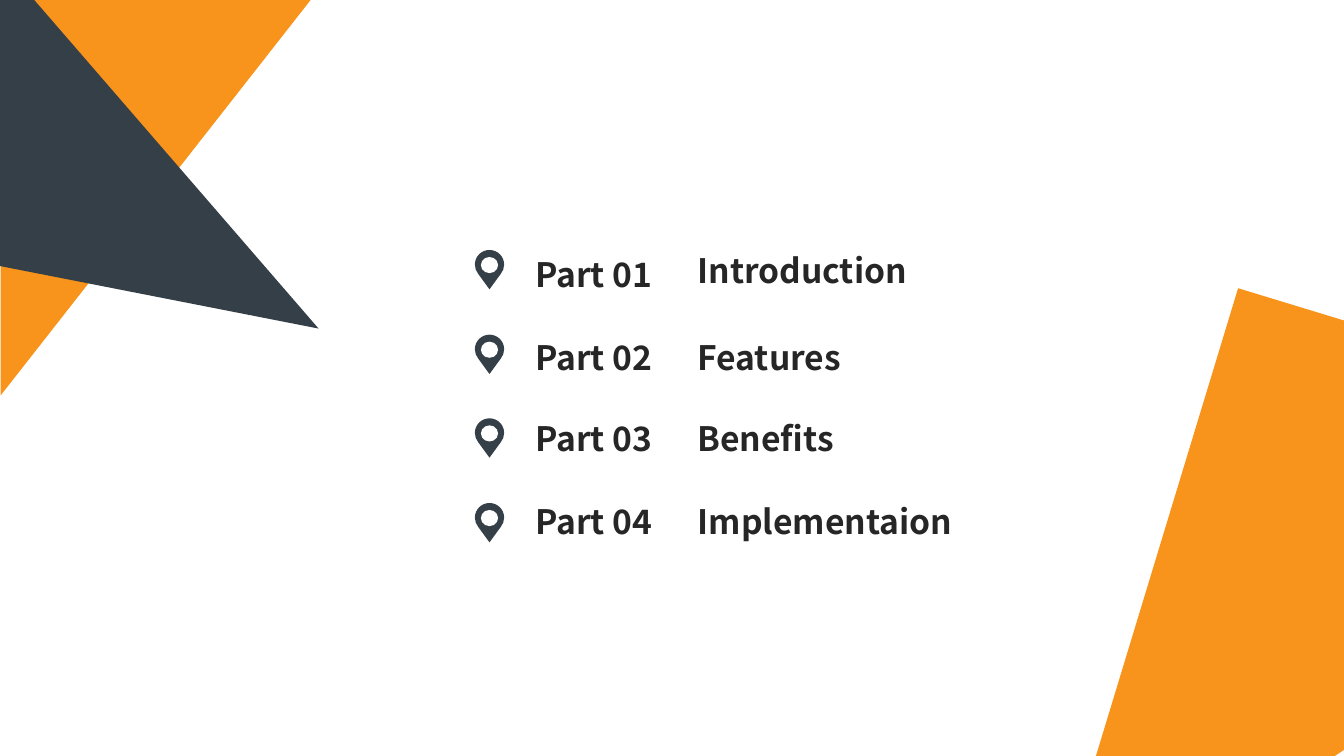
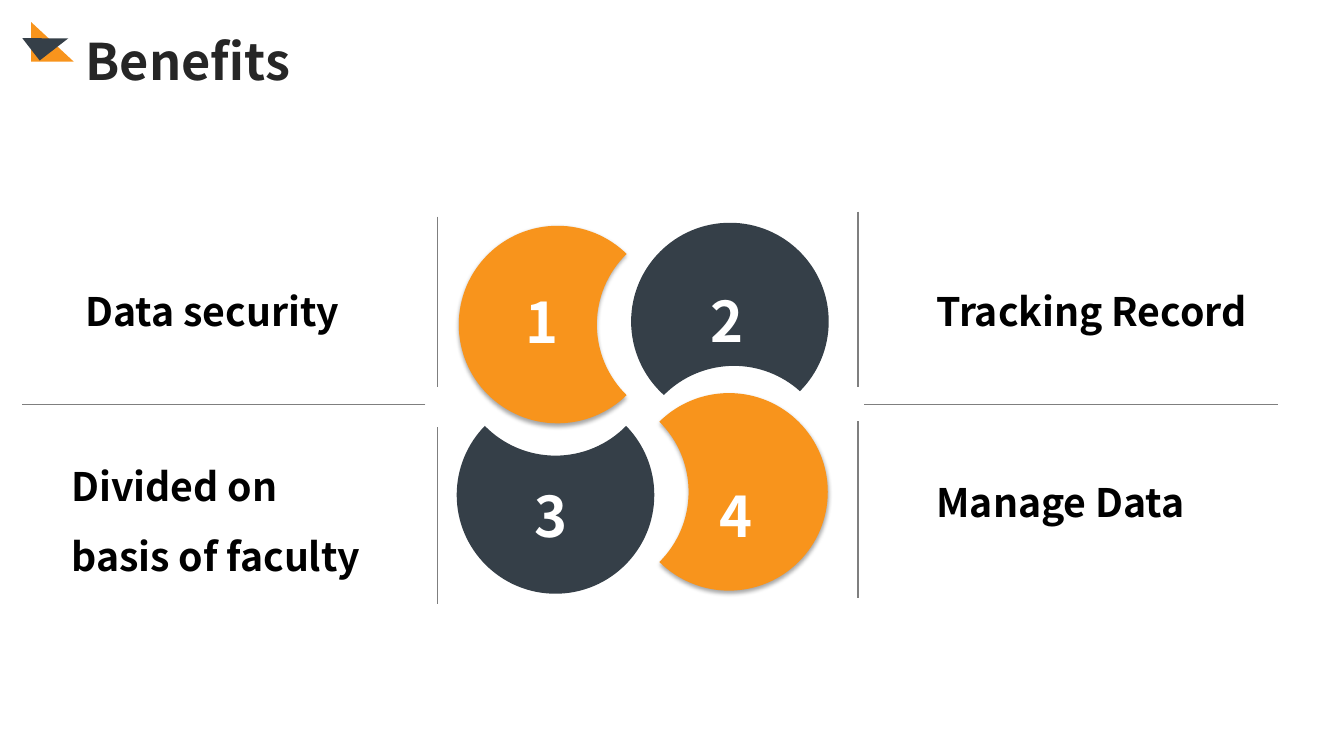
import math

from pptx import Presentation
from pptx import util as u
from pptx.dml.color import RGBColor
from pptx.enum import shapes, text
from pptx.oxml import parse_xml
from pptx.oxml.ns import nsdecls, qn

PX_PER_INCH = 100
WIDTH, HEIGHT = 1333, 750
FONT = "Noto Sans CJK SC"
ORANGE, SLATE, INK, GREY = "F8941C", "353F48", "262626", "7F7F7F"
WHITE, BLACK = "FFFFFF", "000000"


def px(length):
    return u.Emu(round(length * 914400 / PX_PER_INCH))


def color(hex_string):
    return RGBColor.from_string(hex_string)


# Basic parts
def paint(shape, fill):
    shape.shadow.inherit = False
    shape.fill.solid()
    shape.fill.fore_color.rgb = color(fill)
    shape.line.fill.background()
    return shape


def add_preset(slide, kind, left, top, width, height, fill, rotation=0):
    shape = slide.shapes.add_shape(kind, px(left), px(top), px(width), px(height))
    shape.rotation = rotation
    return paint(shape, fill)


def add_outline(slide, start, segments, fill):
    """Closed outline; a segment is (end,) or (control, control, end)."""
    builder = slide.shapes.build_freeform(px(start[0]), px(start[1]), scale=1.0)
    builder.add_line_segments(
        [(px(x), px(y)) for x, y in (segment[-1] for segment in segments)], close=True)
    shape = builder.convert_to_shape()
    lines = list(shape._element.iter(qn("a:lnTo")))
    for line, segment in zip(lines, segments):
        if len(segment) == 3:
            points = "".join(
                f'<a:pt x="{px(x) - shape.left}" y="{px(y) - shape.top}"/>'
                for x, y in segment)
            line.getparent().replace(line, parse_xml(
                f"<a:cubicBezTo {nsdecls('a')}>{points}</a:cubicBezTo>"))
    return paint(shape, fill)


def arc(x, y, radius, start, end):
    """Start point and curves of an arc in degrees, split at quarter turns."""
    low, high = sorted((start, end))
    turns = [turn for turn in range(-720, 721, 90) if low + 0.01 < turn < high - 0.01]
    stops = [start] + sorted(turns, reverse=start > end) + [end]

    def place(degrees, tangent=0.0):
        angle = math.radians(degrees)
        return (x + radius * (math.cos(angle) - tangent * math.sin(angle)),
                y + radius * (math.sin(angle) + tangent * math.cos(angle)))

    curves = []
    for first, last in zip(stops, stops[1:]):
        reach = 4 / 3 * math.tan(math.radians(last - first) / 4)
        curves.append((place(first, reach), place(last, -reach), place(last)))
    return place(start), curves


def add_text(slide, words, left, top, width, height, size, fill=INK,
             spacing=None, wrap=True):
    box = slide.shapes.add_textbox(px(left), px(top), px(width), px(height))
    frame = box.text_frame
    frame.word_wrap = wrap
    frame.auto_size = text.MSO_AUTO_SIZE.SHAPE_TO_FIT_TEXT
    paragraph = frame.paragraphs[0]
    paragraph.line_spacing = spacing
    run = paragraph.add_run()
    run.text = words
    run.font.name = FONT
    run.font.size = u.Pt(size)
    run.font.bold = True
    run.font.color.rgb = color(fill)


def add_rule(slide, x1, y1, x2, y2, stroke=GREY, weight=0.75):
    line = slide.shapes.add_connector(
        shapes.MSO_CONNECTOR.STRAIGHT, px(x1), px(y1), px(x2), px(y2))
    line.line.color.rgb = color(stroke)
    line.line.width = u.Pt(weight)
    line._element.spPr.append(parse_xml(f"<a:effectLst {nsdecls('a')}/>"))


def add_soft_shadow(shape):
    effects = shape._element.spPr.find(qn("a:effectLst"))
    effects.append(parse_xml(
        f'<a:outerShdw {nsdecls("a")} blurRad="{u.Pt(3.1)}" dist="{u.Pt(1.8)}" '
        'dir="5400000" algn="t" rotWithShape="0"><a:srgbClr val="000000">'
        '<a:alpha val="35000"/></a:srgbClr></a:outerShdw>'))


# Agenda slide
def corner_art(slide, right, bottom):
    add_preset(slide, shapes.MSO_SHAPE.RIGHT_TRIANGLE, -42, 42, 393, 308, ORANGE, 90)
    add_outline(slide, (0, 0), [((34, 0),), ((316, 326),), ((0, 264),)], SLATE)
    add_outline(slide, (right - 105, bottom - 464),
                [((right, bottom - 432),), ((right, bottom - 6),),
                 ((right - 9, bottom),), ((right - 246, bottom),)], ORANGE)


def pin(slide, left, top):
    radius = 14.5
    start, head = arc(left + radius, top + radius, radius, 140, 400)
    add_outline(slide, start, head + [((left + radius, top + 39),)], SLATE)
    add_preset(slide, shapes.MSO_SHAPE.OVAL, left + 6, top + 7, 17, 16, WHITE)


def agenda(slide, left, top):
    # Each row: part, its top, topic, its top
    rows = [("Part 01", 4, "Introduction", 0),
            ("Part 02", 86, "Features", 86),
            ("Part 03", 167, "Benefits", 167),
            ("Part 04", 249, "Implementaion", 249)]
    for index, (part, part_top, topic, topic_top) in enumerate(rows):
        pin(slide, left, top + 5 + round(83.6 * index))
        add_text(slide, topic, left + 211, top + topic_top, 283, 50, 24)
        add_text(slide, part, left + 50, top + part_top, 175, 50, 24)
        # Slanted divider
        offset = top + 83 * index
        add_rule(slide, left + 194, offset + 46, left + 208, offset + 10, WHITE, 1.5)


# Benefits slide
def title(slide, words, left, top):
    triangle = shapes.MSO_SHAPE.RIGHT_TRIANGLE
    add_preset(slide, triangle, left + 4, top, 42, 39, ORANGE)
    add_preset(slide, triangle, left, top + 2, 36, 28, SLATE, 322.2)
    add_text(slide, words, left + 48, top + 3, 279, 71, 36)


def bitten_disc(slide, x, y, bite_x, bite_y, fill):
    """Disc at x, y with an equal disc, offset by the bite, cut out of it."""
    radius = 98
    toward = math.degrees(math.atan2(bite_y, bite_x))
    half = math.degrees(math.acos(math.hypot(bite_x, bite_y) / 2 / radius))
    start, rim = arc(x, y, radius, toward + half, toward + 360 - half)
    _, bite = arc(x + bite_x, y + bite_y, radius,
                  toward + 180 + half, toward + 180 - half)
    return add_outline(slide, start, rim + bite, fill)


def pinwheel(slide, left, top):
    # Each disc: number, centre, bite offset, number's corner, fill
    discs = [("1", (100, 101), (137, 0), (58, 59), ORANGE),
             ("2", (271, 98), (4, 142), (242, 58), SLATE),
             ("4", (270, 267), (-138, 0), (251, 252), ORANGE),
             ("3", (98, 270), (0, -137), (67, 252), SLATE)]
    for number, (x, y), bite, (text_x, text_y), fill in discs:
        disc = bitten_disc(slide, left + x, top + y, *bite, fill)
        if fill == ORANGE:
            add_soft_shadow(disc)
        add_text(slide, number, left + text_x, top + text_y, 55, 77, 40, WHITE,
                 wrap=False)


def quadrants(slide, left, top):
    rules = [(412, 5, 412, 174), (412, 214, 412, 389),
             (829, 208, 829, 383), (829, 0, 829, 174),
             (835, 191, 1246, 191), (400, 191, 0, 191)]
    for x1, y1, x2, y2 in rules:
        add_rule(slide, left + x1, top + y1, left + x2, top + y2)
    labels = [("Data security", 53, 47, 322, 81),
              ("Divided on basis of faculty", 39, 220, 325, 143),
              ("Tracking Record", 897, 47, 350, 81),
              ("Manage Data", 897, 236, 350, 81)]
    for words, x, y, width, height in labels:
        add_text(slide, words, left + x, top + y, width, height, 28, BLACK, 1.5)


def main():
    presentation = Presentation()
    presentation.slide_width, presentation.slide_height = px(WIDTH), px(HEIGHT)
    blank = presentation.slide_layouts[6]

    slide = presentation.slides.add_slide(blank)
    corner_art(slide, WIDTH, HEIGHT)
    agenda(slide, 471, 243)

    slide = presentation.slides.add_slide(blank)
    title(slide, "Benefits", 27, 22)
    pinwheel(slide, 453, 221)
    quadrants(slide, 22, 210)

    presentation.save("out.pptx")


if __name__ == "__main__":
    main()
